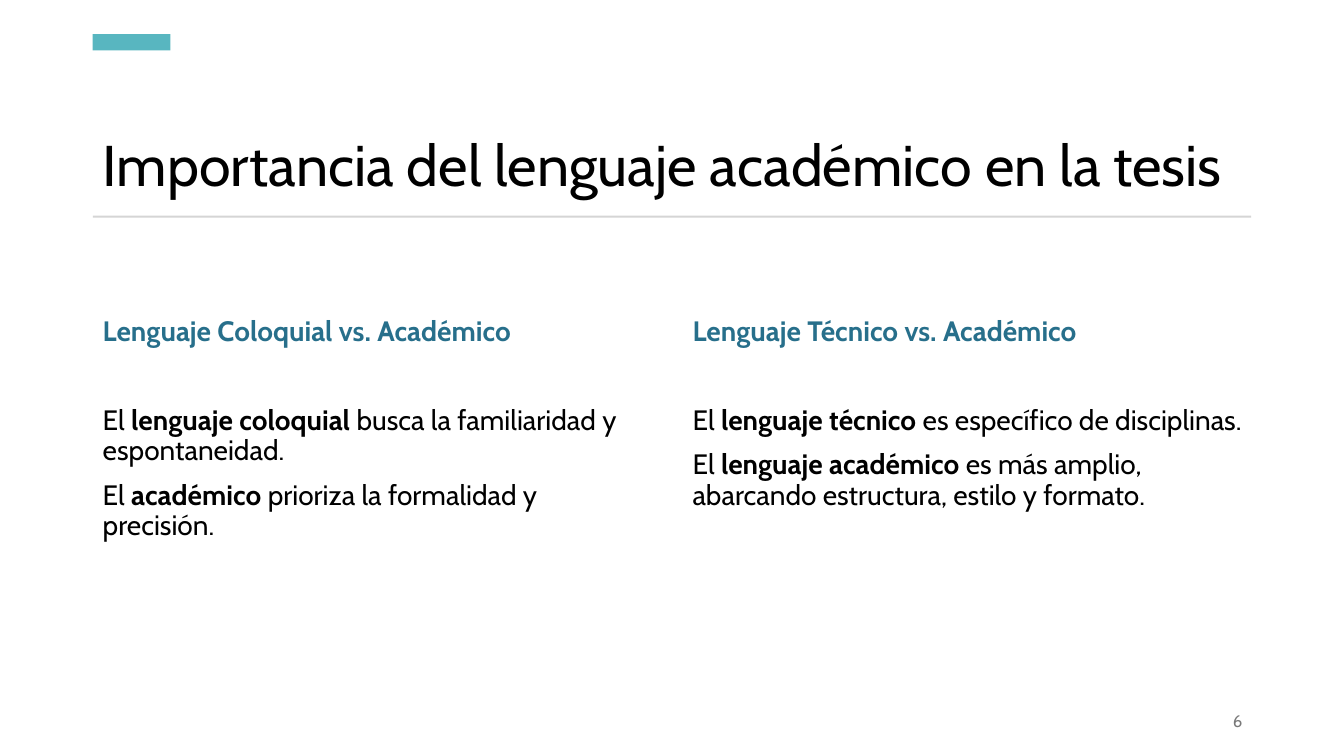
from pptx import Presentation
from pptx.dml.color import RGBColor
from pptx.enum.shapes import MSO_SHAPE
from pptx.enum.text import MSO_ANCHOR, PP_ALIGN
from pptx.util import Inches, Pt

RECT = MSO_SHAPE.RECTANGLE
TOP, MIDDLE, BOTTOM = MSO_ANCHOR.TOP, MSO_ANCHOR.MIDDLE, MSO_ANCHOR.BOTTOM
LEFT, RIGHT = PP_ALIGN.LEFT, PP_ALIGN.RIGHT
BLACK = RGBColor(0x00, 0x00, 0x00)
BLUE = RGBColor(0x27, 0x6F, 0x8B)
TEAL = RGBColor(0x58, 0xB6, 0xC0)
SILVER = RGBColor(0xD5, 0xD5, 0xD5)
GRAY = RGBColor(0x79, 0x79, 0x79)

deck = Presentation()
deck.slide_width, deck.slide_height = Inches(13.33), Inches(7.5)
slide = deck.slides.add_slide(deck.slide_layouts[6])


def add_frame(box, anchor):
    frame = slide.shapes.add_textbox(*map(Inches, box)).text_frame
    frame.word_wrap = True
    frame.vertical_anchor = anchor
    return frame


def fill_line(line, runs, font, layout):
    for name, value in layout.items():
        setattr(line, name, value)
    for text, bold in runs:
        run = line.add_run()
        run.text = text
        for name, value in {"name": "Cabin", "size": font["size"], "bold": bold}.items():
            setattr(run.font, name, value)
        run.font.color.rgb = font["color"]


# Accent bar and rule below the title
for box, color in [((0.92, 0.34, 0.77, 0.16), TEAL), ((0.92, 2.14, 11.49, 0.02), SILVER)]:
    bar = slide.shapes.add_shape(RECT, *map(Inches, box))
    bar.shadow.inherit = False
    bar.fill.solid()
    bar.fill.fore_color.rgb = color
    bar.line.fill.background()

# Title and page number
labels = [
    ((0.92, 0.75, 11.49, 1.27), BOTTOM, "Importancia del lenguaje académico en la tesis",
     {"size": Pt(41), "color": BLACK}, {"alignment": LEFT, "line_spacing": 0.9}),
    ((9.42, 6.95, 3, 0.4), MIDDLE, "6",
     {"size": Pt(12), "color": GRAY}, {"alignment": RIGHT}),
]
for box, anchor, text, font, layout in labels:
    fill_line(add_frame(box, anchor).paragraphs[0], [(text, False)], font, layout)

# Two columns: heading, then statements with bold terms
columns = [
    (0.92, "Lenguaje Coloquial vs. Académico", [
        ("El ", "lenguaje coloquial ", "busca la familiaridad y espontaneidad."),
        ("El ", "académico", " prioriza la formalidad y precisión."),
    ]),
    (6.77, "Lenguaje Técnico vs. Académico", [
        ("El ", "lenguaje técnico ", "es específico de disciplinas."),
        ("El ", "lenguaje académico ", "es más amplio, abarcando estructura, estilo y formato."),
    ]),
]
for left, heading, points in columns:
    frame = add_frame((left, 3.1, 5.65, 3.6), TOP)
    fill_line(frame.paragraphs[0], [(heading, True)], {"size": Pt(20), "color": BLUE},
              {"line_spacing": 0.9, "space_before": Pt(10)})
    for (lead, term, rest), gap in zip(points, (42, 10)):
        fill_line(frame.add_paragraph(), [(lead, False), (term, True), (rest, False)],
                  {"size": Pt(20), "color": BLACK},
                  {"line_spacing": 0.9, "space_before": Pt(gap)})

deck.save("out.pptx")
